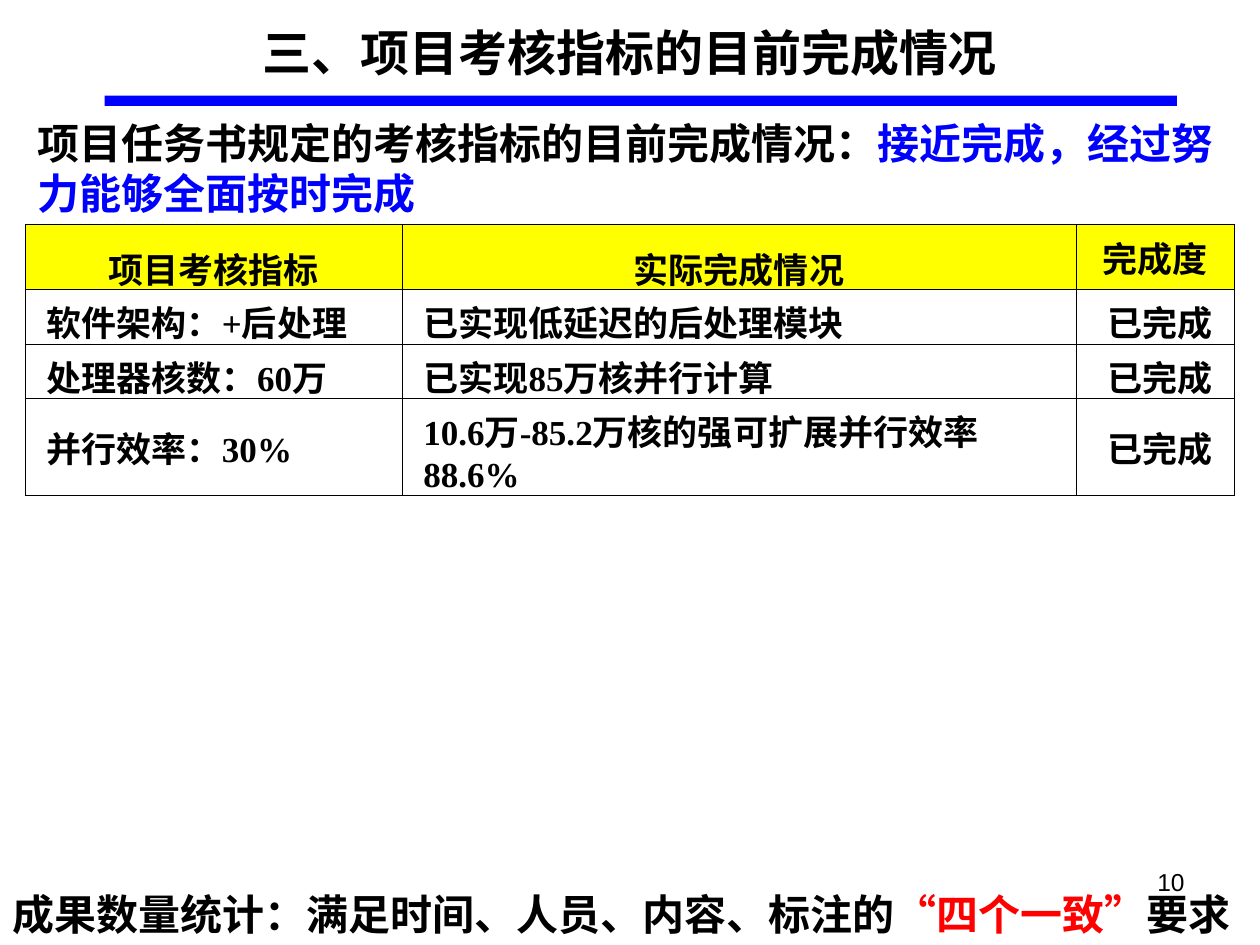
from dataclasses import dataclass

from lxml.etree import SubElement
from pptx import Presentation
from pptx.dml.color import RGBColor
from pptx.enum.shapes import MSO_SHAPE
from pptx.enum.text import MSO_ANCHOR, PP_ALIGN
from pptx.oxml.ns import qn
from pptx.util import Inches, Pt


@dataclass(frozen=True)
class Theme:
    black: RGBColor = RGBColor(0, 0, 0)
    blue: RGBColor = RGBColor(0, 0, 255)
    red: RGBColor = RGBColor(255, 0, 0)
    yellow: RGBColor = RGBColor(255, 255, 0)
    sans: str = "Arial"
    serif: str = "Times New Roman"
    first_header: str = "Calibri"
    title: int = 28
    statement: int = 24
    table: int = 20
    page_number: int = 14
    border: float = 0.45


THEME = Theme()

COLUMN_WIDTHS = (2.99, 5.35, 1.26)
ROW_HEIGHTS = (0.42, 0.33, 0.33, 0.67)
HEADERS = (
    ("项目考核指标", THEME.first_header, 1.25),
    ("实际完成情况", THEME.sans, 1.25),
    ("完成度", THEME.sans, None),
)
INDICATORS = (
    ("软件架构：+后处理", "已实现低延迟的后处理模块", "已完成"),
    ("处理器核数：60万", "已实现85万核并行计算", "已完成"),
    ("并行效率：30%", "10.6万-85.2万核的强可扩展并行效率88.6%", "已完成"),
)


def style(paragraph, size, font=THEME.sans, bold=True, align=PP_ALIGN.LEFT):
    paragraph.alignment = align
    paragraph.font.size = Pt(size)
    paragraph.font.name = font
    paragraph.font.bold = bold


def add_text(slide, box, parts, size, bold=True, align=PP_ALIGN.LEFT):
    """Add a one-paragraph text box from (wording, colour) parts."""
    frame = slide.shapes.add_textbox(*map(Inches, box)).text_frame
    frame.word_wrap = True
    paragraph = frame.paragraphs[0]
    style(paragraph, size, bold=bold, align=align)
    for wording, colour in parts:
        run = paragraph.add_run()
        run.text = wording
        run.font.color.rgb = colour


def add_title_rule(slide):
    rule = slide.shapes.add_shape(
        MSO_SHAPE.RECTANGLE, Inches(0.83), Inches(0.76), Inches(8.51), Inches(0.08))
    rule.shadow.inherit = False
    rule.fill.solid()
    rule.fill.fore_color.rgb = THEME.blue
    rule.line.fill.background()


def add_borders(cell):
    """Insert the four border lines ahead of the cell's fill, as the schema asks."""
    properties = cell._tc.get_or_add_tcPr()
    for position, side in enumerate(("lnL", "lnR", "lnT", "lnB")):
        line = SubElement(properties, qn(f"a:{side}"), w=str(Pt(THEME.border)))
        fill = SubElement(line, qn("a:solidFill"))
        SubElement(fill, qn("a:srgbClr"), val=str(THEME.black))
        properties.insert(position, line)


def fill_cell(cell, wording, font, align, background=None):
    cell.vertical_anchor = MSO_ANCHOR.MIDDLE
    if background is None:
        cell.fill.background()
    else:
        cell.fill.solid()
        cell.fill.fore_color.rgb = background
    add_borders(cell)
    paragraph = cell.text_frame.paragraphs[0]
    paragraph.text = wording
    style(paragraph, THEME.table, font, align=align)
    paragraph.font.color.rgb = THEME.black
    return paragraph


def add_indicator_table(slide):
    table = slide.shapes.add_table(
        len(ROW_HEIGHTS), len(COLUMN_WIDTHS), Inches(0.2), Inches(1.78),
        Inches(sum(COLUMN_WIDTHS)), Inches(sum(ROW_HEIGHTS))).table
    for column, width in zip(table.columns, COLUMN_WIDTHS):
        column.width = Inches(width)
    for row, height in zip(table.rows, ROW_HEIGHTS):
        row.height = Inches(height)

    for column, (wording, font, spacing) in enumerate(HEADERS):
        header = fill_cell(table.cell(0, column), wording, font,
                           PP_ALIGN.CENTER, THEME.yellow)
        header.line_spacing = spacing

    alignments = (PP_ALIGN.LEFT, PP_ALIGN.LEFT, PP_ALIGN.CENTER)
    for row, indicator in enumerate(INDICATORS, start=1):
        for column, (wording, align) in enumerate(zip(indicator, alignments)):
            entry = fill_cell(table.cell(row, column), wording, THEME.serif, align)
            indent = entry._p.get_or_add_pPr()
            indent.set("marL", str(Inches(0.07)))
            indent.set("indent", "0")


def main():
    presentation = Presentation()
    presentation.slide_width = Inches(10)
    presentation.slide_height = Inches(7.5)
    slide = presentation.slides.add_slide(presentation.slide_layouts[6])

    add_text(slide, (7.17, 6.83, 2.33, 0.52), [("10", THEME.black)],
             THEME.page_number, bold=False, align=PP_ALIGN.RIGHT)
    add_title_rule(slide)
    add_text(slide, (0.2, 0.88, 9.77, 0.52),
             [("项目任务书规定的考核指标的目前完成情况：", THEME.black),
              ("接近完成，经过努力能够全面按时完成", THEME.blue)],
             THEME.statement)
    add_text(slide, (0, 0.13, 10, 0.54),
             [("三、项目考核指标的目前完成情况", THEME.black)],
             THEME.title, align=PP_ALIGN.CENTER)
    add_indicator_table(slide)
    add_text(slide, (0, 7, 9.96, 0.45),
             [("成果数量统计：满足时间、人员、内容、标注的", THEME.black),
              ("“四个一致”", THEME.red),
              ("要求", THEME.black)],
             THEME.statement)

    presentation.save("out.pptx")


if __name__ == "__main__":
    main()
